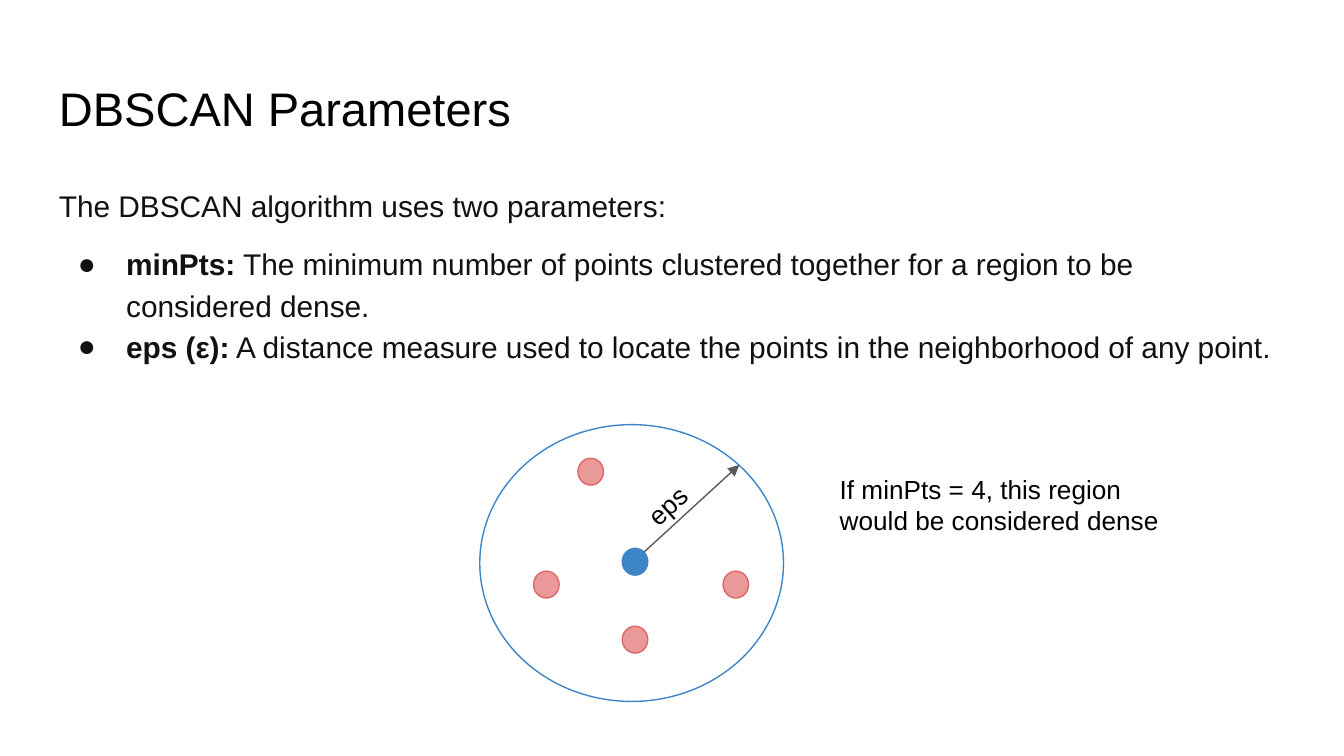
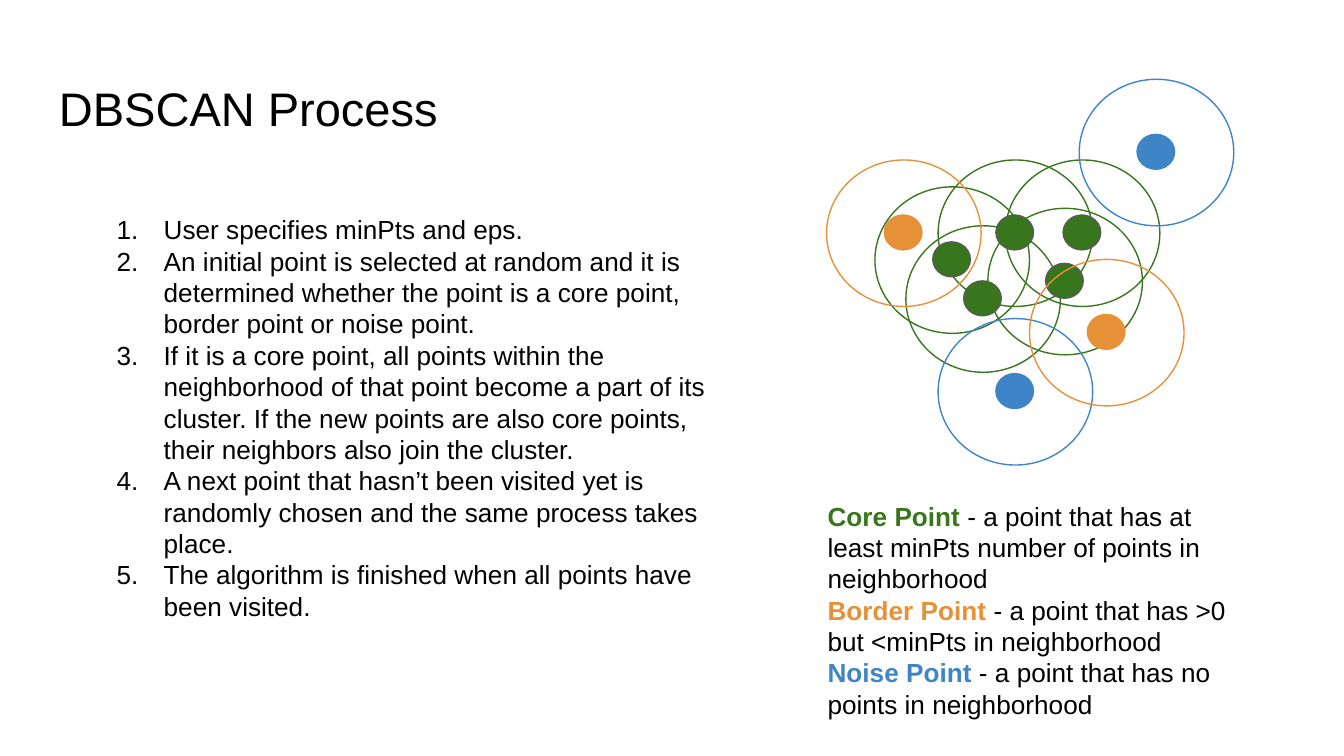
from lxml.etree import SubElement
from pptx import Presentation
from pptx.dml.color import RGBColor
from pptx.enum.shapes import MSO_CONNECTOR as CONN, MSO_SHAPE as SHAPE
from pptx.enum.text import MSO_ANCHOR as ANCHOR
from pptx.oxml.ns import qn
from pptx.util import Emu, Pt

PX = 9144  # 100 px to the inch
SLIDE_WIDTH = 1000
FONT = "Arial"
COLORS = {
    "text": "000000", "body": "111111", "gray": "595959",
    "core": "38761D", "border": "E69138", "noise": "3D85C6",
    "pink": "EA9999", "red": "E06666",
}
TITLE_BOX = (34, 49, 932, 63)

# A paragraph is a list of (text, format) runs.
BOLD = {"bold": True}
INTRO = [("The DBSCAN algorithm uses two parameters:", {})]
PARAMETERS = [
    [("minPts:", BOLD), (" The minimum number of points clustered together "
                         "for a region to be considered dense.", {})],
    [("eps (ε):", BOLD), (" A distance measure used to locate the points "
                          "in the neighborhood of any point.", {})],
]
DENSE_NOTE = "If minPts = 4, this region would be considered dense"
REGION = (357, 316, 226, 206)
CENTER_DOT = (463, 408)
NEIGHBOR_DOTS = [(463, 466), (538, 425), (397, 425), (430, 341)]
NEIGHBOR_SIZE = (19, 20)
EPS_ARROW = (479, 411, 550, 346)

STEPS = [
    "User specifies minPts and eps.",
    "An initial point is selected at random and it is determined whether the "
    "point is a core point, border point or noise point.",
    "If it is a core point, all points within the neighborhood of that point "
    "become a part of its cluster. If the new points are also core points, "
    "their neighbors also join the cluster.",
    "A next point that hasn’t been visited yet is randomly chosen and the "
    "same process takes place.",
    "The algorithm is finished when all points have been visited.",
]
LEGEND = [
    ("core", "Core Point",
     " - a point that has at least minPts number of points in neighborhood"),
    ("border", "Border Point ",
     "- a point that has >0 but <minPts in neighborhood"),
    ("noise", "Noise Point", " - a point that has no points in neighborhood"),
]
# Left and top of each neighborhood ring, back to front
POINTS = [
    ("core", [(698, 119), (674, 168), (735, 155), (651, 139), (748, 119)]),
    ("noise", [(803, 59), (698, 237)]),
    ("border", [(615, 119), (766, 193)]),
]
RING_SIZE = (115, 109)
DOT_SIZE = (28, 26)
DOT_OFFSET = (43, 41)


def rgb(name):
    return RGBColor.from_string(COLORS[name])


def emu(*lengths):
    return [Emu(n * PX) for n in lengths]


def add_text(s, box, paragraphs, size=14, color="text", anchor=ANCHOR.TOP):
    sp = s.shapes.add_textbox(*emu(*box))
    tf = sp.text_frame
    tf.word_wrap = True
    tf.vertical_anchor = anchor
    for side in ("left", "right", "top", "bottom"):
        setattr(tf, f"margin_{side}", Emu(10 * PX))
    for i, runs in enumerate(paragraphs):
        p = tf.paragraphs[0] if i == 0 else tf.add_paragraph()
        for text, fmt in runs:
            r = p.add_run()
            r.text = text
            r.font.color.rgb = rgb(fmt.get("color", color))
            values = {"name": FONT, "size": Pt(size),
                      "bold": fmt.get("bold", False)}
            for key, value in values.items():
                setattr(r.font, key, value)
    return sp


def add_marker(p, tag, indent, color, **attrs):
    """Give a paragraph a hanging bullet or number."""
    pPr = p._p.get_or_add_pPr()
    pPr.set("marL", str(50 * PX))
    pPr.set("indent", str(-indent * PX))
    clr = SubElement(pPr, qn("a:buClr"))
    SubElement(clr, qn("a:srgbClr")).set("val", COLORS[color])
    SubElement(pPr, qn("a:buFont")).set("typeface", FONT)
    SubElement(pPr, qn(tag), attrs)


def add_ellipse(shapes, pos, size, line, fill=None):
    sp = shapes.add_shape(SHAPE.OVAL, *emu(*pos, *size))
    sp.shadow.inherit = False
    sp.line.color.rgb = rgb(line)
    sp.line.width = Pt(0.75)
    if fill:
        sp.fill.solid()
        sp.fill.fore_color.rgb = rgb(fill)
    else:
        sp.fill.background()


def add_arrow(s, ends):
    c = s.shapes.add_connector(CONN.STRAIGHT, *emu(*ends))
    c.line.color.rgb = rgb("gray")
    c.line.width = Pt(0.75)
    SubElement(c.line._ln, qn("a:tailEnd")).set("type", "triangle")
    SubElement(c._element.spPr, qn("a:effectLst"))


def add_point(s, kind, pos):
    """Draw a point inside the ring of its neighborhood."""
    shapes = s.shapes.add_group_shape().shapes
    add_ellipse(shapes, pos, RING_SIZE, kind)
    dot = [p + offset for p, offset in zip(pos, DOT_OFFSET)]
    add_ellipse(shapes, dot, DOT_SIZE, "gray" if kind == "core" else kind, kind)


def add_slide(prs, title):
    s = prs.slides.add_slide(prs.slide_layouts[6])
    add_text(s, TITLE_BOX, [[(title, {})]], size=25.2, anchor=ANCHOR.MIDDLE)
    return s


def build_parameters(prs):
    s = add_slide(prs, "DBSCAN Parameters")
    body = add_text(s, (34, 126, 932, 374), [INTRO, *PARAMETERS], 16, "body")
    paragraphs = body.text_frame.paragraphs
    for p in paragraphs:
        p.line_spacing = 1.15
    paragraphs[1].space_before = Pt(9)
    for p in paragraphs[1:]:
        add_marker(p, "a:buChar", 36, "body", char="●")

    region = s.shapes.add_group_shape().shapes
    add_ellipse(region, REGION[:2], REGION[2:], "noise")
    add_ellipse(region, CENTER_DOT, NEIGHBOR_SIZE, "noise", "noise")
    add_arrow(s, EPS_ARROW)
    add_text(s, (471, 354, 52, 44), [[("eps", {})]]).rotation = 318.3
    for pos in NEIGHBOR_DOTS:
        add_ellipse(s.shapes, pos, NEIGHBOR_SIZE, "red", "pink")
    add_text(s, (615, 342, 273, 67), [[(DENSE_NOTE, {})]])


def build_process(prs):
    s = add_slide(prs, "DBSCAN Process")
    for kind, positions in POINTS:
        for pos in positions:
            add_point(s, kind, pos)
    add_text(s, (606, 362, 323, 185),
             [[(term, {"bold": True, "color": kind}), (meaning, {})]
              for kind, term, meaning in LEGEND])
    steps = add_text(s, (62, 149, 487, 327), [[(step, {})] for step in STEPS])
    for p in steps.text_frame.paragraphs:
        add_marker(p, "a:buAutoNum", 35, "text", type="arabicPeriod")


def main():
    prs = Presentation()
    prs.slide_width = Emu(SLIDE_WIDTH * PX)
    prs.slide_height = Emu(SLIDE_WIDTH * PX * 9 // 16)
    build_parameters(prs)
    build_process(prs)
    prs.save("out.pptx")


if __name__ == "__main__":
    main()
